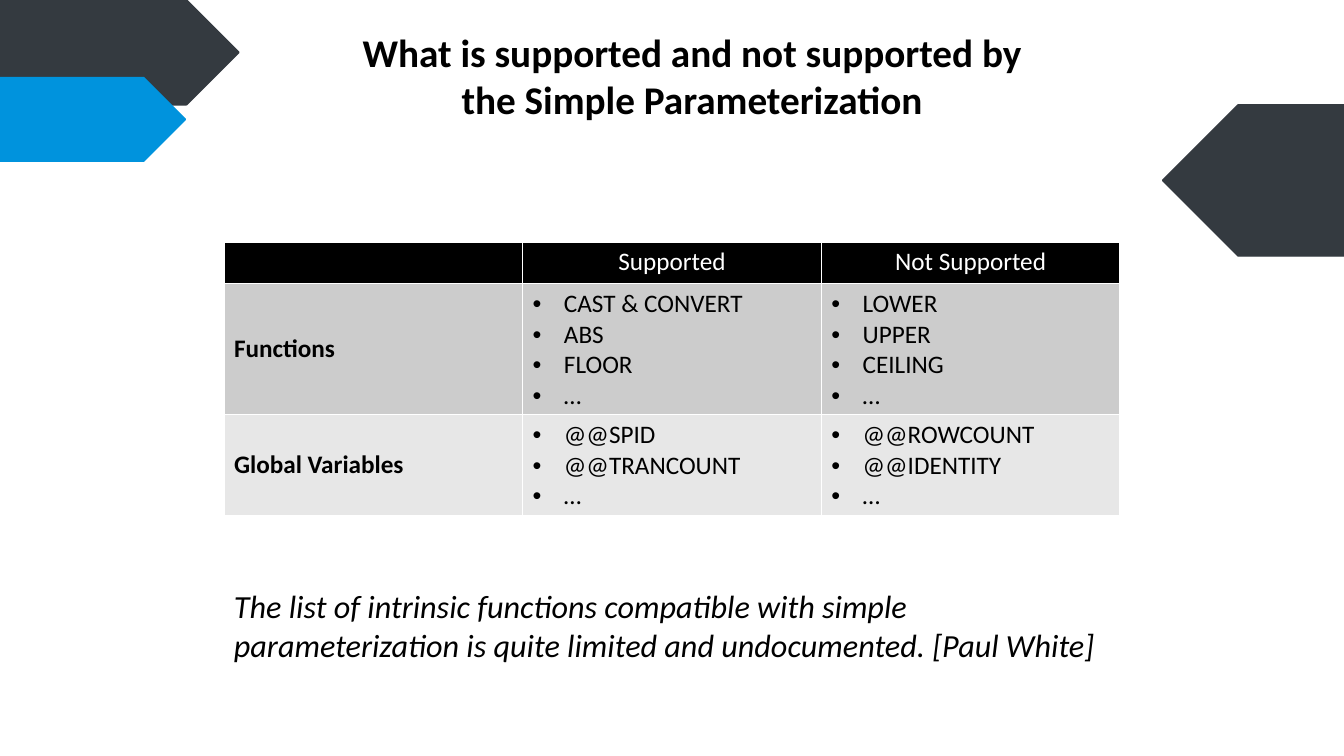
import pptx
import pptx.dml.color
import pptx.enum.shapes
import pptx.enum.text
import pptx.oxml
import pptx.oxml.ns
import pptx.util
from lxml import etree

RGBColor = pptx.dml.color.RGBColor
ALIGN = pptx.enum.text.PP_ALIGN
MIDDLE = pptx.enum.text.MSO_ANCHOR.MIDDLE
Inches = pptx.util.Inches

BLACK = RGBColor(0x00, 0x00, 0x00)
WHITE = RGBColor(0xFF, 0xFF, 0xFF)
SLATE = RGBColor(0x34, 0x3A, 0x40)
BLUE = RGBColor(0x00, 0x93, 0xDD)
MID_GREY = RGBColor(0xCC, 0xCC, 0xCC)
LIGHT_GREY = RGBColor(0xE7, 0xE7, 0xE7)

FONT = "Calibri"
SLIDE_WIDTH, SLIDE_HEIGHT = 13.33, 7.5
CONTENT_WIDTH = SLIDE_WIDTH * 2 / 3
CONTENT_LEFT = (SLIDE_WIDTH - CONTENT_WIDTH) / 2
TABLE_TOP = SLIDE_HEIGHT * 0.32
ROW_HEIGHTS = [0.41, 1.3, 1.0]
BULLET_INDENT = Inches(0.31)

HEADINGS = ["", "Supported", "Not Supported"]
CATEGORIES = [
    ("Functions", MID_GREY,
     ["CAST & CONVERT", "ABS", "FLOOR", "…"],
     ["LOWER", "UPPER", "CEILING", "…"]),
    ("Global Variables", LIGHT_GREY,
     ["@@SPID", "@@TRANCOUNT", "…"],
     ["@@ROWCOUNT", "@@IDENTITY", "…"]),
]


def write_lines(text_frame, lines, size, color=BLACK, align=ALIGN.LEFT, bulleted=False, **styles):
    for index, line in enumerate(lines):
        paragraph = text_frame.paragraphs[0] if index == 0 else text_frame.add_paragraph()
        paragraph.alignment = align
        run = paragraph.add_run()
        run.text = line
        run.font.color.rgb = color
        font_format = {"name": FONT, "size": pptx.util.Pt(size), "bold": False, **styles}
        for name, value in font_format.items():
            setattr(run.font, name, value)
        if bulleted:
            add_bullet(paragraph)


def add_bullet(paragraph):
    properties = paragraph._p.get_or_add_pPr()
    properties.set("marL", str(BULLET_INDENT))
    properties.set("indent", str(-BULLET_INDENT))
    for tag, attribute, value in (("a:buFont", "typeface", "Arial"), ("a:buChar", "char", "•")):
        etree.SubElement(properties, pptx.oxml.ns.qn(tag)).set(attribute, value)


def add_pentagon(slide, left, top, width, height, color, rotation=0):
    shape = slide.shapes.add_shape(
        pptx.enum.shapes.MSO_SHAPE.PENTAGON,
        Inches(left), Inches(top), Inches(width), Inches(height))
    shape.shadow.inherit = False
    shape.rotation = rotation
    shape.fill.solid()
    shape.fill.fore_color.rgb = color
    shape.line.color.rgb = color
    shape.line.width = pptx.util.Pt(1)


def add_text(slide, left, top, width, height, lines, size, **text_format):
    box = slide.shapes.add_textbox(Inches(left), Inches(top), Inches(width), Inches(height))
    box.text_frame.word_wrap = True
    write_lines(box.text_frame, lines, size, **text_format)


def style_cell(cell, color):
    """Give the cell white borders and a plain fill."""
    properties = cell._tc.get_or_add_tcPr()
    for side in "LRTB":
        properties.append(pptx.oxml.parse_xml(
            f'<a:ln{side} {pptx.oxml.ns.nsdecls("a")} w="12700">'
            f'<a:solidFill><a:srgbClr val="{WHITE}"/></a:solidFill></a:ln{side}>'))
    cell.fill.solid()
    cell.fill.fore_color.rgb = color


def add_support_table(slide):
    table = slide.shapes.add_table(
        len(ROW_HEIGHTS), len(HEADINGS), Inches(CONTENT_LEFT), Inches(TABLE_TOP),
        Inches(CONTENT_WIDTH), Inches(sum(ROW_HEIGHTS))).table
    for row, height in zip(table.rows, ROW_HEIGHTS):
        row.height = Inches(height)
    for column, heading in enumerate(HEADINGS):
        cell = table.cell(0, column)
        style_cell(cell, BLACK)
        if heading:
            write_lines(cell.text_frame, [heading], 18, WHITE, ALIGN.CENTER)
    for row, (category, color, *item_lists) in enumerate(CATEGORIES, start=1):
        label = table.cell(row, 0)
        style_cell(label, color)
        label.vertical_anchor = MIDDLE
        write_lines(label.text_frame, [category], 18, bold=True)
        for column, items in enumerate(item_lists, start=1):
            cell = table.cell(row, column)
            style_cell(cell, color)
            write_lines(cell.text_frame, items, 18, bulleted=True)


def main():
    presentation = pptx.Presentation()
    presentation.slide_width = Inches(SLIDE_WIDTH)
    presentation.slide_height = Inches(SLIDE_HEIGHT)
    slide = presentation.slides.add_slide(presentation.slide_layouts[6])

    add_pentagon(slide, SLIDE_WIDTH - 1.8, 1.04, 1.8, 1.5, SLATE, rotation=180)
    add_pentagon(slide, 0, 0, 2.37, 1.04, SLATE)
    add_pentagon(slide, 0, 0.77, 1.84, 0.83, BLUE)
    add_text(slide, 2.42, 0.23, CONTENT_WIDTH, 1.04,
             ["What is supported and not supported by", "the Simple Parameterization"],
             28, align=ALIGN.CENTER, bold=True)
    add_support_table(slide)
    add_text(slide, CONTENT_LEFT, 5.77, CONTENT_WIDTH, 0.88,
             ["The list of intrinsic functions compatible with simple parameterization "
              "is quite limited and undocumented. [Paul White]"],
             23, italic=True)
    presentation.save("out.pptx")


if __name__ == "__main__":
    main()
